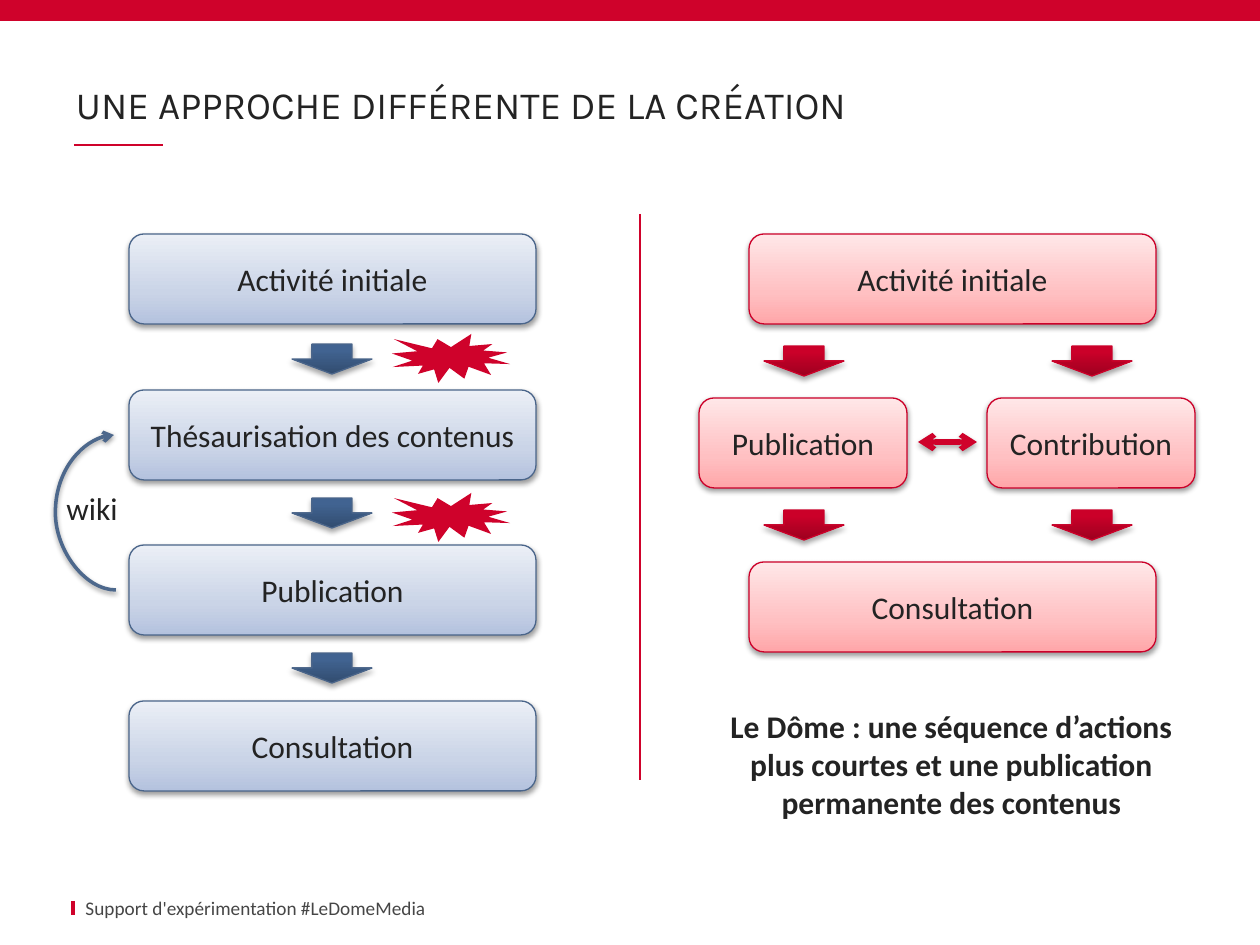
import copy
import pptx
import pptx.dml.color
import pptx.enum.shapes
import pptx.enum.text
import pptx.oxml
import pptx.oxml.ns
import pptx.util

SHAPE = pptx.enum.shapes.MSO_SHAPE
CONNECTOR = pptx.enum.shapes.MSO_CONNECTOR
ALIGN = pptx.enum.text.PP_ALIGN
ANCHOR = pptx.enum.text.MSO_ANCHOR
qn = pptx.oxml.ns.qn

INK = "232323"
RED = "CF022B"
BLUE_LINE, RED_LINE = "4A658A", "CC0029"
BLUE_BOX = [(0, "B4C2DE"), (0.35, "CAD4E7"), (1, "EBEFF6")]
RED_BOX = [(0, "FFA6A9"), (0.35, "FFC0C2"), (1, "FFE7E8")]
BLUE_ARROW = [(0, "324D70"), (0.8, "416391"), (1, "406493")]
RED_ARROW = [(0, "9C001F"), (0.8, "CB0029"), (1, "CB0029")]


def px(length):
    return round(length * 914400 / 126)


def rgb(code):
    return pptx.dml.color.RGBColor.from_string(code)


def write(frame, text, size=18, color=INK, font="Calibri", bold=False,
          align=ALIGN.LEFT, anchor=ANCHOR.TOP, wrap=True, spacing=None):
    frame.word_wrap = wrap
    frame.vertical_anchor = anchor
    paragraph = frame.paragraphs[0]
    paragraph.alignment = align
    paragraph.line_spacing = spacing
    run = paragraph.add_run()
    run.text = text
    run.font.size = pptx.util.Pt(size)
    run.font.name = font
    run.font.bold = bold
    run.font.color.rgb = rgb(color)


def add_shadow(element, opacity, distance):
    properties = element.spPr
    effects = properties.find(qn("a:effectLst"))
    effects.append(pptx.oxml.parse_xml(
        '<a:outerShdw xmlns:a="http://schemas.openxmlformats.org/drawingml/2006/main" '
        f'blurRad="{pptx.util.Pt(3.1)}" dist="{pptx.util.Pt(distance)}" dir="5400000" '
        'rotWithShape="0"><a:srgbClr val="000000">'
        f'<a:alpha val="{opacity * 1000}"/></a:srgbClr></a:outerShdw>'))


def add_plain(slide, kind, left, top, width, height, fill=RED):
    plain = slide.shapes.add_shape(kind, px(left), px(top), px(width), px(height))
    plain.shadow.inherit = False
    plain.fill.solid()
    plain.fill.fore_color.rgb = rgb(fill)
    plain.line.fill.background()
    return plain


def add_shaded(slide, kind, left, top, width, height, stops, outline, opacity, distance):
    shaded = add_plain(slide, kind, left, top, width, height)
    shaded.fill.gradient()
    shaded.fill.gradient_angle = 90
    stop_list = shaded._element.spPr.find(qn("a:gradFill")).find(qn("a:gsLst"))
    stop_list.append(copy.deepcopy(stop_list[-1]))
    for stop, (position, color) in zip(shaded.fill.gradient_stops, stops):
        stop.position = position
        stop.color.rgb = rgb(color)
    shaded.line.color.rgb = rgb(outline)
    shaded.line.width = pptx.util.Pt(0.75)
    add_shadow(shaded._element, opacity, distance)
    return shaded


def add_step(slide, text, left, top, width, stops, outline):
    step = add_shaded(slide, SHAPE.ROUNDED_RECTANGLE, left, top, width, 90,
                      stops, outline, 38, 1.6)
    write(step.text_frame, text, align=ALIGN.CENTER, anchor=ANCHOR.MIDDLE)


def add_down_arrow(slide, left, top, stops, outline):
    add_shaded(slide, SHAPE.DOWN_ARROW, left, top, 80, 30, stops, outline, 35, 1.8)


def add_line(slide, start, end, width, color=RED, kind=CONNECTOR.STRAIGHT, heads=()):
    line = slide.shapes.add_connector(kind, *map(px, start + end))
    line.line.color.rgb = rgb(color)
    line.line.width = pptx.util.Pt(width)
    outline = line._element.spPr.find(qn("a:ln"))
    for head in heads:
        outline.append(outline.makeelement(qn(head), {"type": "arrow"}))
    properties = line._element.spPr
    properties.append(properties.makeelement(qn("a:effectLst"), {}))
    return line


def add_label(slide, text, left, top, width, height, **style):
    label = slide.shapes.add_textbox(px(left), px(top), px(width), px(height))
    write(label.text_frame, text, **style)


def add_title(slide, text):
    title = slide.shapes.title
    title.left, title.top, title.width, title.height = map(px, (76, 26, 1109, 108))
    title.text_frame.margin_left = title.text_frame.margin_right = 0
    write(title.text_frame, text, size=22, font="Karla", anchor=ANCHOR.BOTTOM, spacing=0.9)


def add_wiki_loop(slide):
    start, end, reach = (116, 590), (114, 435), 61
    loop = add_line(slide, start, end, 2, "4D688C", CONNECTOR.CURVE, ["a:tailEnd"])
    bend = round(reach / (start[0] - end[0]) * 100000)
    guides = loop._element.spPr.find(qn("a:prstGeom")).get_or_add_avLst()
    guides.append(guides.makeelement(qn("a:gd"), {"name": "adj1", "fmla": f"val {bend}"}))
    add_shadow(loop._element, 38, 1.6)
    add_label(slide, "wiki", 54, 483, 77, 50, wrap=False)


def add_usual_sequence(slide):
    steps = ["Activité initiale", "Thésaurisation des contenus", "Publication", "Consultation"]
    for text, top in zip(steps, (234, 390, 545, 701)):
        add_step(slide, text, 129, top, 407, BLUE_BOX, BLUE_LINE)
    for top in (344, 498, 653):
        add_down_arrow(slide, 292, top, BLUE_ARROW, BLUE_LINE)
    for top in (334, 493):
        add_plain(slide, SHAPE.EXPLOSION1, 392, top, 118, 49)
    add_wiki_loop(slide)


def add_short_sequence(slide):
    for text, left, top, width in [("Activité initiale", 749, 234, 407),
                                   ("Publication", 699, 398, 208),
                                   ("Contribution", 987, 398, 208),
                                   ("Consultation", 749, 562, 407)]:
        add_step(slide, text, left, top, width, RED_BOX, RED_LINE)
    for left in (764, 1052):
        for top in (346, 510):
            add_down_arrow(slide, left, top, RED_ARROW, RED_LINE)
    exchange = add_line(slide, (977, 442), (918, 442), 3, heads=["a:headEnd", "a:tailEnd"])
    add_shadow(exchange._element, 35, 1.8)
    add_label(slide, "Le Dôme : une séquence d’actions plus courtes et une publication "
              "permanente des contenus", 689, 701, 525, 127, bold=True, align=ALIGN.CENTER)


def main():
    deck = pptx.Presentation()
    deck.slide_width, deck.slide_height = px(1260), px(945)
    slide = deck.slides.add_slide(deck.slide_layouts[5])
    add_plain(slide, SHAPE.RECTANGLE, 0, 0, 1260, 21)
    add_title(slide, "UNE APPROCHE DIFFÉRENTE DE LA CRÉATION")
    add_line(slide, (74, 145), (163, 145), 1)
    add_line(slide, (73, 901), (73, 915), 2.25)
    add_label(slide, "Support d'expérimentation #LeDomeMedia", 73, 896, 626, 23,
              size=11, color="464646", anchor=ANCHOR.MIDDLE)
    add_line(slide, (640, 214), (640, 780), 1.5)
    add_usual_sequence(slide)
    add_short_sequence(slide)
    deck.save("out.pptx")


if __name__ == "__main__":
    main()
